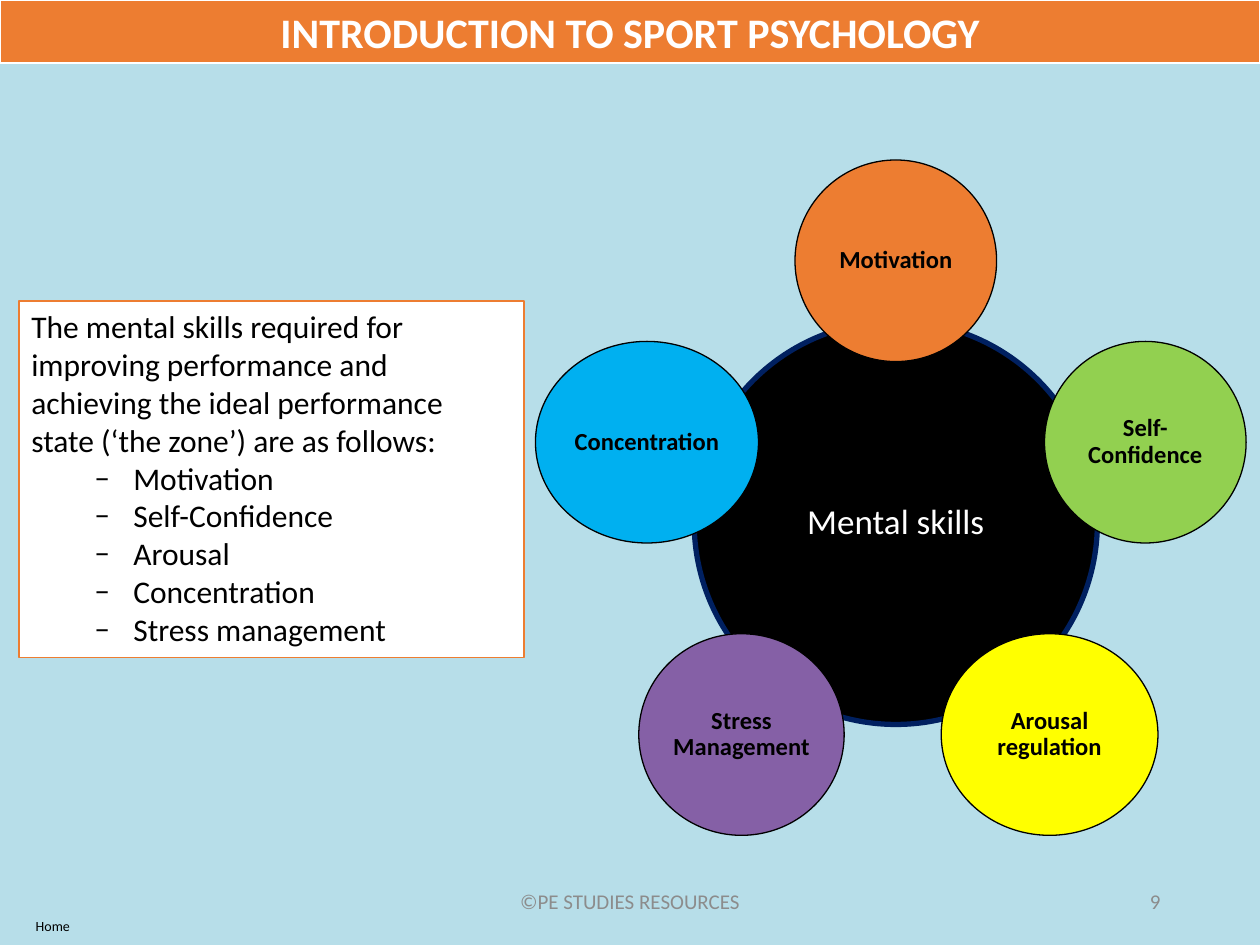
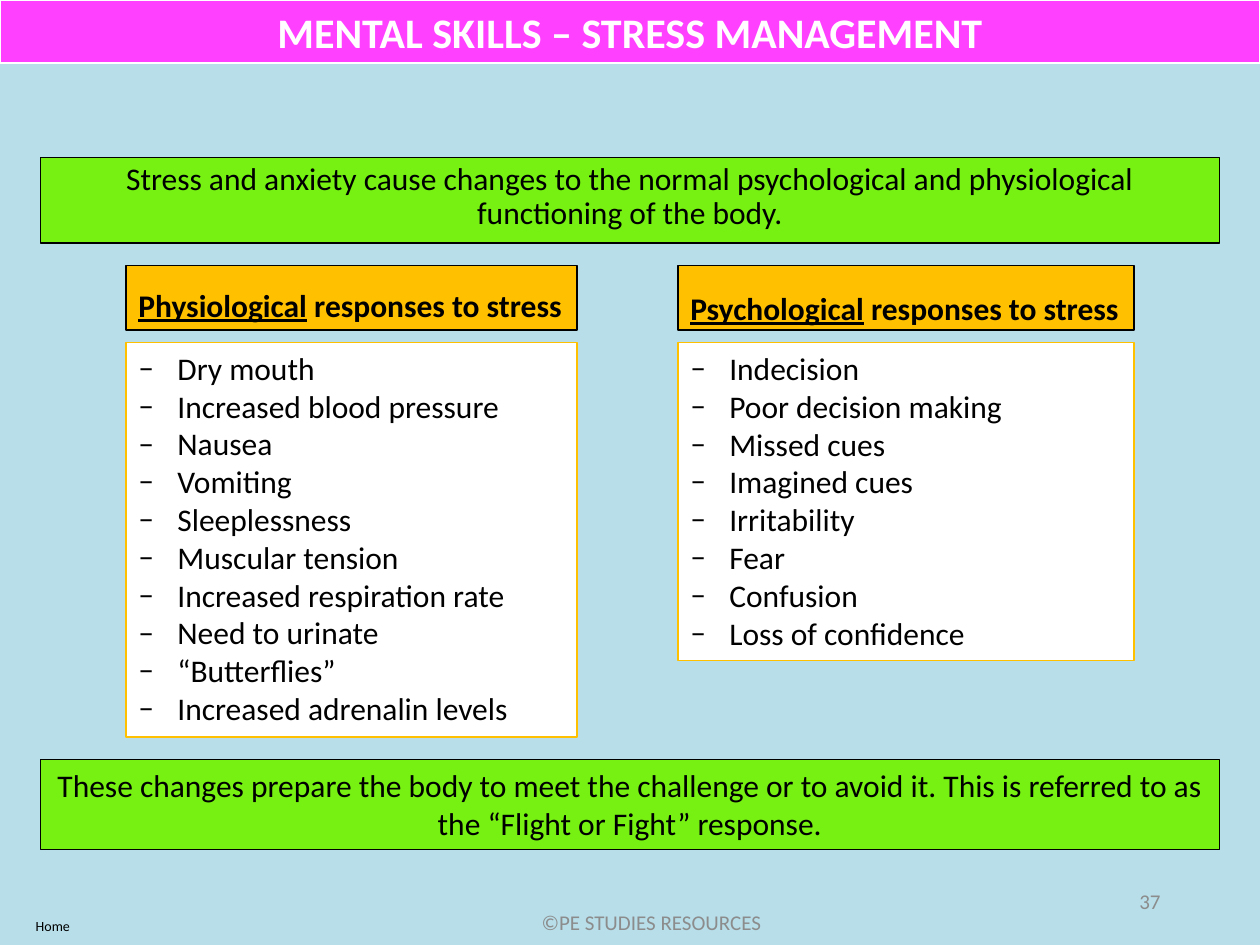
from math import cos, radians, sin

from lxml import etree
from pptx import Presentation
from pptx.dml.color import RGBColor
from pptx.enum.shapes import MSO_SHAPE
from pptx.enum.text import MSO_ANCHOR, MSO_AUTO_SIZE, PP_ALIGN
from pptx.oxml.ns import qn
from pptx.util import Emu, Pt

RECT, OVAL = MSO_SHAPE.RECTANGLE, MSO_SHAPE.OVAL
LEFT, CENTER, RIGHT = PP_ALIGN.LEFT, PP_ALIGN.CENTER, PP_ALIGN.RIGHT
TOP, MIDDLE, BOTTOM = MSO_ANCHOR.TOP, MSO_ANCHOR.MIDDLE, MSO_ANCHOR.BOTTOM
GROW, FIXED = MSO_AUTO_SIZE.SHAPE_TO_FIT_TEXT, MSO_AUTO_SIZE.NONE

# Shared style
PX = 9144  # one px is a hundredth of an inch
FONT = "Calibri"
SKY, WHITE, BLACK, GREY = "B7DEE9", "FFFFFF", "000000", "8C8C8C"
ORANGE, MAGENTA, GREEN, AMBER = "ED7D31", "FF40FF", "76F112", "FFC000"
COPYRIGHT = "©PE STUDIES RESOURCES"
DASH, DASH_INDENT = "–", 31


def px(length):
    return Emu(round(length) * PX)


def rgb(code):
    return RGBColor.from_string(code)


def add_dash(paragraph, margin, level):
    """Give a paragraph a hanging dash bullet in the text font."""
    paragraph.level = level
    props = paragraph._p.get_or_add_pPr()
    props.set("marL", str(px(margin)))
    props.set("indent", str(px(-DASH_INDENT)))
    etree.SubElement(props, qn("a:buFont")).set("typeface", FONT)
    etree.SubElement(props, qn("a:buChar")).set("char", DASH)


def write(frame, lines, size=18, color=BLACK, bold=False, align=LEFT,
          anchor=TOP, inset=None, spacing=None, wrap=True, grow=False,
          dashes_from=None, margin=DASH_INDENT, level=0):
    """Fill a frame; a line is a string or a list of (text, underlined)."""
    frame.word_wrap = wrap
    frame.vertical_anchor = anchor
    frame.auto_size = GROW if grow else FIXED
    if inset is not None:
        frame.margin_left = frame.margin_right = px(inset)
        frame.margin_top = frame.margin_bottom = px(inset)
    for i, line in enumerate(lines):
        paragraph = frame.add_paragraph() if i else frame.paragraphs[0]
        paragraph.alignment = align
        if spacing:
            paragraph.line_spacing = spacing
        if dashes_from is not None and i >= dashes_from:
            add_dash(paragraph, margin, level)
        for text, underlined in [(line, False)] if isinstance(line, str) else line:
            run = paragraph.add_run()
            run.text = text
            font = run.font
            font.name, font.size, font.bold = FONT, Pt(size), bold
            font.underline = underlined
            font.color.rgb = rgb(color)


class Deck:
    def __init__(self):
        self.prs = Presentation()
        self.prs.slide_width, self.prs.slide_height = px(1000), px(750)
        self.slide = None

    def start(self, title, band, number, credit_at):
        """Open a slide with its background, title band and footers."""
        self.slide = self.prs.slides.add_slide(self.prs.slide_layouts[6])
        background = self.slide.background.fill
        background.solid()
        background.fore_color.rgb = rgb(SKY)
        self.box(0, 0, 1000, 50, band, WHITE, [title], size=24, color=WHITE,
                 bold=True, align=CENTER, grow=True)
        self.label(*credit_at, 338, 40, COPYRIGHT, size=12, color=GREY,
                   align=CENTER, anchor=MIDDLE)
        self.label(706, 695, 225, 40, number, size=12, color=GREY,
                   align=RIGHT, anchor=MIDDLE)
        self.label(0, 723, 84, 24, "Home", size=8, align=CENTER, grow=True)

    def box(self, x, y, w, h, fill, line, lines, shape=RECT, weight=0.75, **style):
        box = self.slide.shapes.add_shape(shape, px(x), px(y), px(w), px(h))
        box.shadow.inherit = False
        box.fill.solid()
        box.fill.fore_color.rgb = rgb(fill)
        box.line.color.rgb = rgb(line)
        box.line.width = Pt(weight)
        write(box.text_frame, lines, **style)

    def circle(self, cx, cy, w, h, fill, line, text, **style):
        self.box(cx - w / 2, cy - h / 2, w, h, fill, line, [text], shape=OVAL,
                 align=CENTER, anchor=MIDDLE, spacing=0.9, **style)

    def label(self, x, y, w, h, text, **style):
        label = self.slide.shapes.add_textbox(px(x), px(y), px(w), px(h))
        write(label.text_frame, [text], **style)


def mental_skills(deck):
    deck.start("INTRODUCTION TO SPORT PSYCHOLOGY", ORANGE, "9", (331, 695))
    deck.box(15, 239, 401, 283, WHITE, ORANGE, [
        "The mental skills required for improving performance and achieving "
        "the ideal performance state (‘the zone’) are as follows:",
        "Motivation", "Self-Confidence", "Arousal", "Concentration",
        "Stress management",
    ], dashes_from=1, margin=81, level=1, grow=True)

    # Hub with the five skills spaced evenly around it, clockwise from the top
    hub_x, hub_y, orbit = 711, 415, 208
    deck.circle(hub_x, hub_y, 320, 320, BLACK, "002060", "Mental skills",
                weight=3, size=20, color=WHITE, inset=3)
    skills = [
        ("Motivation", ORANGE, 160),
        ("Self- Confidence", "92D050", 160),
        ("Arousal regulation", "FFFF00", 172),
        ("Stress Management", "8560A6", 163),
        ("Concentration", "00B0F0", 177),
    ]
    for i, (skill, fill, width) in enumerate(skills):
        angle = radians(360 / len(skills) * i - 90)
        deck.circle(hub_x + orbit * cos(angle), hub_y + orbit * sin(angle),
                    width, 160, fill, BLACK, skill, size=14, bold=True, inset=2)


def stress_management(deck):
    deck.start("MENTAL SKILLS – STRESS MANAGEMENT", MAGENTA, "37", (348, 712))

    # Statements above and below the two lists
    deck.box(32, 125, 936, 68, GREEN, BLACK, [
        "Stress and anxiety cause changes to the normal psychological and "
        "physiological functioning of the body."], align=CENTER, spacing=0.9)
    deck.box(32, 603, 936, 71, GREEN, BLACK, [
        "These changes prepare the body to meet the challenge or to avoid it. "
        "This is referred to as the “Flight or Fight” response."],
        weight=0.5, align=CENTER, grow=True)

    # Headed lists of responses
    responses = [
        ("Physiological", 100, 358, 313, BOTTOM, [
            "Dry mouth", "Increased blood pressure", "Nausea", "Vomiting",
            "Sleeplessness", "Muscular tension", "Increased respiration rate",
            "Need to urinate", "“Butterflies”", "Increased adrenalin levels"]),
        ("Psychological", 538, 362, 252, MIDDLE, [
            "Indecision", "Poor decision making", "Missed cues",
            "Imagined cues", "Irritability", "Fear", "Confusion",
            "Loss of confidence"]),
    ]
    for kind, x, width, height, anchor, signs in responses:
        deck.box(x, 211, width, 51, AMBER, BLACK,
                 [[(kind, True), (" responses to stress", False)]],
                 bold=True, anchor=anchor, spacing=1.5, wrap=False, grow=True)
        deck.box(x, 272, width, height, WHITE, AMBER, signs,
                 dashes_from=0, grow=True)


def main():
    deck = Deck()
    mental_skills(deck)
    stress_management(deck)
    deck.prs.save("out.pptx")


if __name__ == "__main__":
    main()
